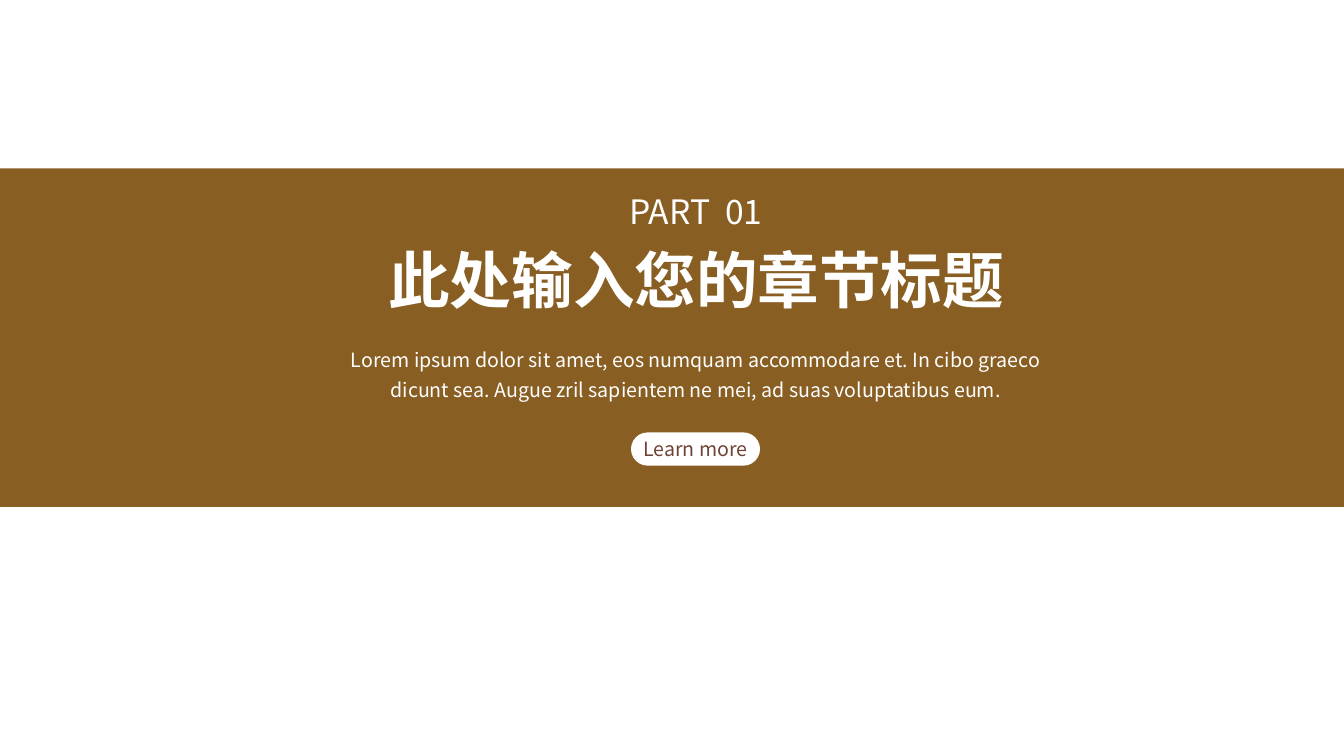
from dataclasses import dataclass

from lxml.etree import SubElement
from pptx import Presentation
from pptx.dml.color import RGBColor
from pptx.enum.shapes import MSO_SHAPE
from pptx.enum.text import MSO_ANCHOR, MSO_AUTO_SIZE, PP_ALIGN
from pptx.oxml.ns import qn
from pptx.shapes.base import BaseShape
from pptx.shapes.autoshape import Shape
from pptx.slide import Slide
from pptx.util import Inches, Pt

FONT = "Noto Sans CJK SC"
WHITE, BRONZE, BROWN = "FFFFFF", "885E22", "6F4336"

# Grid of ten cells to the inch
COLUMNS, ROWS = 133.33, 75


@dataclass(frozen=True)
class Area:
    column: float
    row: float
    columns: float
    rows: float


@dataclass(frozen=True)
class Label:
    text: str
    size: float
    color: str = WHITE
    bold: bool = False
    line_spacing: float = 1.0
    anchor: MSO_ANCHOR = MSO_ANCHOR.TOP
    wrap: bool = True


BAND = Area(0, 16.7, COLUMNS, 33.6)
PART = Area(60.6, 18.4, 16.9, 5)
TITLE = Area(34.5, 23.5, 69.2, 8.4)
SUMMARY = Area(33.3, 33.3, 71.5, 7.1)
BUTTON = Area(62.6, 42.9, 12.8, 3.3)


def cells(count: float) -> int:
    return Inches(count / 10)


def rgb(color: str) -> RGBColor:
    return RGBColor.from_string(color)


def box(area: Area) -> tuple[int, int, int, int]:
    return (cells(area.column), cells(area.row),
            cells(area.columns), cells(area.rows))


def place(shape: BaseShape, area: Area) -> None:
    shape.left, shape.top, shape.width, shape.height = box(area)


def add_filled(slide: Slide, kind: MSO_SHAPE, area: Area, color: str) -> Shape:
    shape = slide.shapes.add_shape(kind, *box(area))
    shape.shadow.inherit = False
    shape.fill.solid()
    shape.fill.fore_color.rgb = rgb(color)
    shape.line.fill.background()
    return shape


def write(shape: Shape, label: Label) -> None:
    frame = shape.text_frame
    frame.word_wrap = label.wrap
    frame.auto_size = MSO_AUTO_SIZE.NONE
    frame.vertical_anchor = label.anchor
    paragraph = frame.paragraphs[0]
    paragraph.alignment = PP_ALIGN.CENTER
    paragraph.line_spacing = label.line_spacing
    paragraph.space_before = Pt(0)
    run = paragraph.add_run()
    run.text = label.text
    run.font.size = Pt(label.size)
    run.font.bold = label.bold
    run.font.color.rgb = rgb(label.color)
    run.font.name = FONT
    # Chinese characters take the East Asian typeface
    SubElement(run.font._element, qn("a:ea"), typeface=FONT)


def build(slide: Slide) -> None:
    # Band behind all text
    band = add_filled(slide, MSO_SHAPE.RECTANGLE, BAND, BRONZE)
    slide.shapes._spTree.insert(2, band._element)

    # Section title and summary
    title, summary = slide.shapes.title, slide.placeholders[1]
    place(title, TITLE)
    write(title, Label("此处输入您的章节标题", 44, bold=True))
    place(summary, SUMMARY)
    write(summary, Label(
        "Lorem ipsum dolor sit amet, eos numquam accommodare et. In cibo graeco "
        "dicunt sea. Augue zril sapientem ne mei, ad suas voluptatibus eum.",
        14, line_spacing=1.3))

    # Part number
    part = slide.shapes.add_textbox(*box(PART))
    write(part, Label("PART  01", 24))

    # Button
    button = add_filled(slide, MSO_SHAPE.ROUNDED_RECTANGLE, BUTTON, WHITE)
    button.adjustments[0] = 0.5
    write(button, Label("Learn more", 14, BROWN,
                        anchor=MSO_ANCHOR.MIDDLE, wrap=False))


def main() -> None:
    presentation = Presentation()
    presentation.slide_width = cells(COLUMNS)
    presentation.slide_height = cells(ROWS)
    section_layout = presentation.slide_layouts[2]
    build(presentation.slides.add_slide(section_layout))
    presentation.save("out.pptx")


if __name__ == "__main__":
    main()
